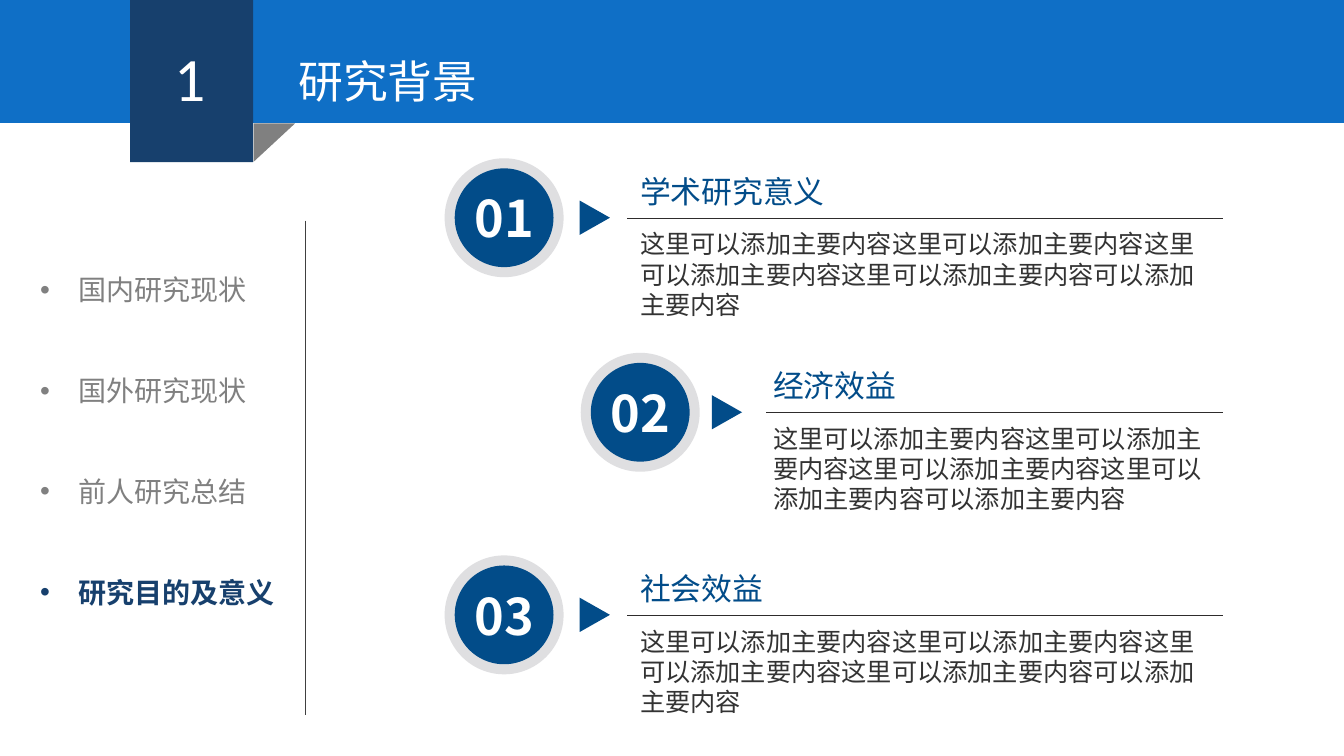
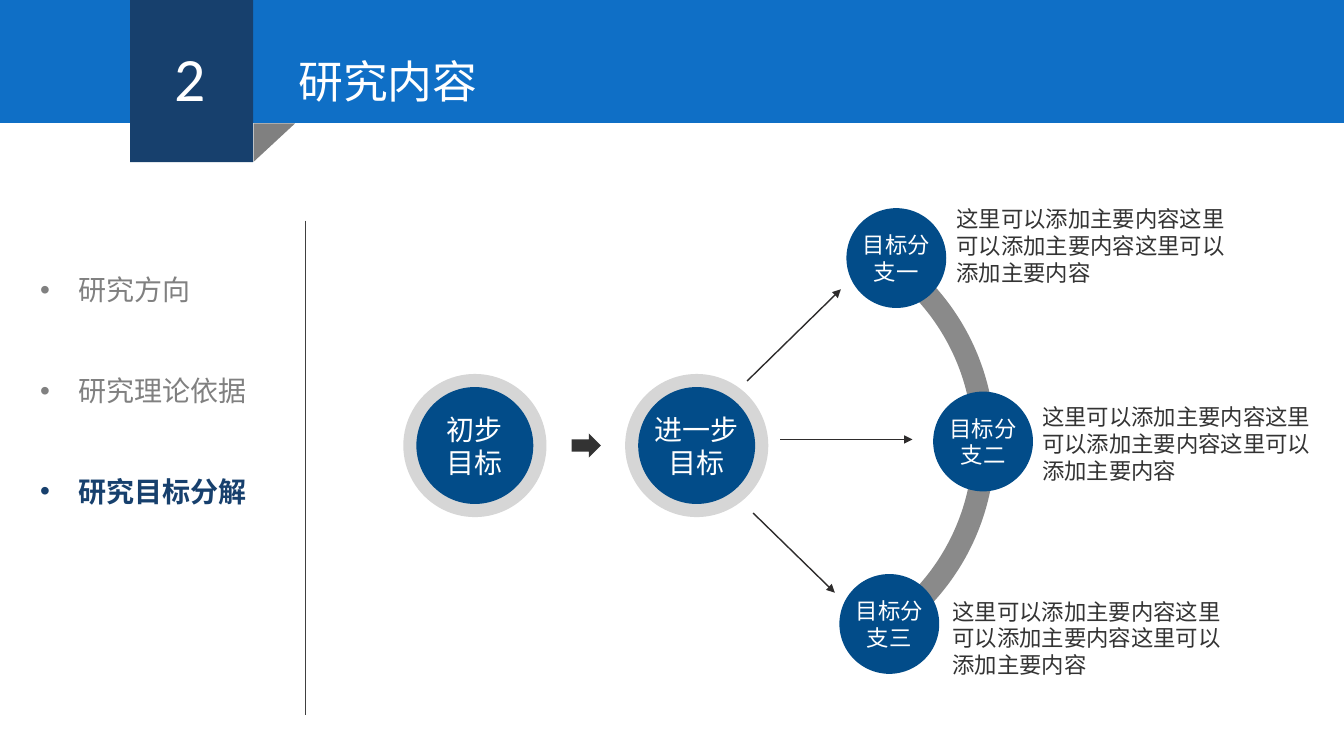
from pptx import Presentation
from pptx.dml.color import RGBColor
from pptx.enum.shapes import MSO_CONNECTOR, MSO_SHAPE
from pptx.enum.text import MSO_ANCHOR, PP_ALIGN
from pptx.oxml.xmlchemy import OxmlElement
from pptx.util import Inches, Pt

RECT, OVAL = MSO_SHAPE.RECTANGLE, MSO_SHAPE.OVAL
FOLD, BLOCK_ARC, ARROW = MSO_SHAPE.RIGHT_TRIANGLE, MSO_SHAPE.BLOCK_ARC, MSO_SHAPE.RIGHT_ARROW
STRAIGHT = MSO_CONNECTOR.STRAIGHT
LEFT, CENTER, MIDDLE = PP_ALIGN.LEFT, PP_ALIGN.CENTER, MSO_ANCHOR.MIDDLE

SLIDE_W, SLIDE_H = 13.33, 7.5
BLUE, NAVY, DEEP = "0F6FC6", "17406D", "024C89"
WHITE, GREY, DARK, RULE = "FFFFFF", "808080", "333333", "2E2C2C"
DIVIDER, ARC_GREY = "404040", "8A8A8A"
NUMBER_RING, STAGE_RING = "DFDFE1", "D6D6D6"
CJK = "Noto Sans CJK SC"


def style(size, color, name=CJK, bold=False):
    return {"color": color, "font": {"size": Pt(size), "name": name, "bold": bold}}


SECTION_NUMBER = style(44, WHITE, "Calibri")
SECTION_TITLE = style(32, WHITE, "Calibri")
TOPIC = style(20, GREY, "Calibri")
CURRENT_TOPIC = style(20, NAVY, "Calibri", True)
HEADING = style(22, DEEP)
BODY = style(18, DARK)
BADGE = style(36, WHITE, bold=True)
STAGE = style(20, WHITE)
BRANCH = style(16, WHITE)
BRANCH_BODY = style(16, DARK)

FILLER = "这里可以添加主要内容"


def rgb(value):
    return RGBColor.from_string(value)


def add_element(parent, tag, **attributes):
    element = OxmlElement(tag)
    for key, value in attributes.items():
        element.set(key, value)
    parent.append(element)


def write(paragraph, text, look, align=LEFT):
    paragraph.alignment = align
    run = paragraph.add_run()
    run.text = text
    for key, value in look["font"].items():
        setattr(run.font, key, value)
    run.font.color.rgb = rgb(look["color"])
    add_element(run.font._element, "a:ea", typeface=CJK)


def text_frame(slide, x, y, w, h):
    frame = slide.shapes.add_textbox(Inches(x), Inches(y), Inches(w), Inches(h)).text_frame
    frame.word_wrap = True
    return frame


def label(slide, x, y, w, h, text, look, align=LEFT):
    write(text_frame(slide, x, y, w, h).paragraphs[0], text, look, align)


def paint(shape, color):
    shape.shadow.inherit = False
    shape.fill.solid()
    shape.fill.fore_color.rgb = rgb(color)
    shape.line.fill.background()
    return shape


def block(slide, kind, x, y, w, h, color):
    return paint(slide.shapes.add_shape(kind, Inches(x), Inches(y), Inches(w), Inches(h)), color)


def disc(slide, cx, cy, diameter, color, text="", look=None):
    """Circle given by its centre, with optional centred text."""
    radius = diameter / 2
    circle = block(slide, OVAL, cx - radius, cy - radius, diameter, diameter, color)
    if text:
        frame = circle.text_frame
        for side in ("left", "top", "right", "bottom"):
            setattr(frame, f"margin_{side}", 0)
        frame.word_wrap = True
        frame.vertical_anchor = MIDDLE
        write(frame.paragraphs[0], text, look, CENTER)


def line(slide, start, end, color, width, arrow=False):
    connector = slide.shapes.add_connector(
        STRAIGHT, *(Inches(value) for value in (*start, *end)))
    connector.line.color.rgb = rgb(color)
    connector.line.width = Pt(width)
    if arrow:
        add_element(connector.line._get_or_add_ln(), "a:tailEnd", type="triangle")
    add_element(connector._element.spPr, "a:effectLst")


def pointer(slide, x, cy):
    """Triangle that points right, from a badge to its heading."""
    outline = slide.shapes.build_freeform(Inches(x), Inches(cy - 0.17))
    outline.add_line_segments(
        [(Inches(x + 0.3), Inches(cy)), (Inches(x), Inches(cy + 0.17))], close=True)
    paint(outline.convert_to_shape(), DEEP)


def topic_list(slide, topics):
    """Bulleted sidebar; the last topic is the current one."""
    frame = text_frame(slide, 0.3, 1.99, 3.21, 0.14 + len(topics))
    for index, topic in enumerate(topics):
        paragraph = frame.add_paragraph() if index else frame.paragraphs[0]
        paragraph.line_spacing = 3.0
        write(paragraph, topic, CURRENT_TOPIC if topic == topics[-1] else TOPIC)
        properties = paragraph._p.get_or_add_pPr()
        properties.set("marL", str(Inches(0.38)))
        properties.set("indent", str(-Inches(0.38)))
        add_element(properties, "a:buFont", typeface="Arial")
        add_element(properties, "a:buChar", char="•")


def section_slide(deck, number, title, topics):
    slide = deck.slides.add_slide(deck.slide_layouts[6])
    line(slide, (3.03, 2.19), (3.03, 7.09), DIVIDER, 0.5)
    topic_list(slide, topics)
    block(slide, RECT, 0, 0, SLIDE_W, 1.22, BLUE)
    block(slide, RECT, 1.29, 0, 1.22, 1.61, NAVY)
    block(slide, FOLD, 2.53, 1.21, 0.38, 0.41, GREY).rotation = 90
    label(slide, 1.63, 0.35, 0.54, 0.84, number, SECTION_NUMBER)
    label(slide, 2.86, 0.48, 3.91, 0.64, title, SECTION_TITLE)
    return slide


def benefit(slide, number, heading, cy, badge_x, pointer_x, rule_x, text_x, text_w):
    line(slide, (rule_x, cy), (12.13, cy), RULE, 0.25)
    label(slide, text_x, cy - 0.5, 4.1, 0.47, heading, HEADING)
    label(slide, text_x, cy + 0.06, text_w, 1.01, FILLER * 4 + FILLER[2:], BODY)
    pointer(slide, pointer_x, cy)
    disc(slide, badge_x, cy, 1.18, NUMBER_RING)
    disc(slide, badge_x, cy, 0.98, DEEP, number, BADGE)


def stage(slide, cx, cy, text, text_w):
    disc(slide, cx, cy, 1.42, STAGE_RING)
    disc(slide, cx, cy, 1.16, DEEP)
    label(slide, cx - text_w / 2, cy - 0.38, text_w, 0.77, text, STAGE, CENTER)


def branch_arc(slide):
    cx, cy, radius, thickness = 7.54, 4.4, 2.33, 0.22
    start_angle, end_angle = 300.5, 58.5
    arc = block(slide, BLOCK_ARC, cx - radius, cy - radius, 2 * radius, 2 * radius, ARC_GREY)
    # Angles are stored in 60000ths of a degree, adjustments in 100000ths.
    arc.adjustments[0] = start_angle * 0.6
    arc.adjustments[1] = end_angle * 0.6
    arc.adjustments[2] = thickness / (2 * radius)


def background_slide(deck):
    slide = section_slide(deck, "1", "研究背景",
                          ["国内研究现状", "国外研究现状", "前人研究总结", "研究目的及意义"])
    outer = (5.0, 5.75, 6.22, 6.25, 5.77)
    inner = (6.35, 7.06, 7.6, 7.57, 4.64)
    benefit(slide, "01", "学术研究意义", 2.16, *outer)
    benefit(slide, "02", "经济效益", 4.09, *inner)
    benefit(slide, "03", "社会效益", 6.1, *outer)


def content_slide(deck):
    slide = section_slide(deck, "2", "研究内容", ["研究方向", "研究理论依据", "研究目标分解"])
    stage(slide, 4.71, 4.42, "初步目标", 0.79)
    block(slide, ARROW, 5.67, 4.3, 0.29, 0.24, DARK)
    stage(slide, 6.91, 4.42, "进一步目标", 1.13)
    branch_arc(slide)
    branches = [
        ("目标分支一", (8.89, 2.56), (9.39, 1.99), (7.41, 3.78), (8.34, 2.87)),
        ("目标分支二", (9.75, 4.38), (10.24, 3.95), (7.74, 4.36), (9.05, 4.36)),
        ("目标分支三", (8.82, 6.19), (9.35, 5.88), (7.47, 5.09), (8.28, 5.88)),
    ]
    for name, center, text_corner, arrow_start, arrow_end in branches:
        line(slide, arrow_start, arrow_end, RULE, 1, arrow=True)
        disc(slide, *center, 0.99, DEEP, name, BRANCH)
        label(slide, *text_corner, 2.97, 0.91, FILLER * 3, BRANCH_BODY)


def main():
    deck = Presentation()
    deck.slide_width, deck.slide_height = Inches(SLIDE_W), Inches(SLIDE_H)
    background_slide(deck)
    content_slide(deck)
    deck.save("out.pptx")


if __name__ == "__main__":
    main()
